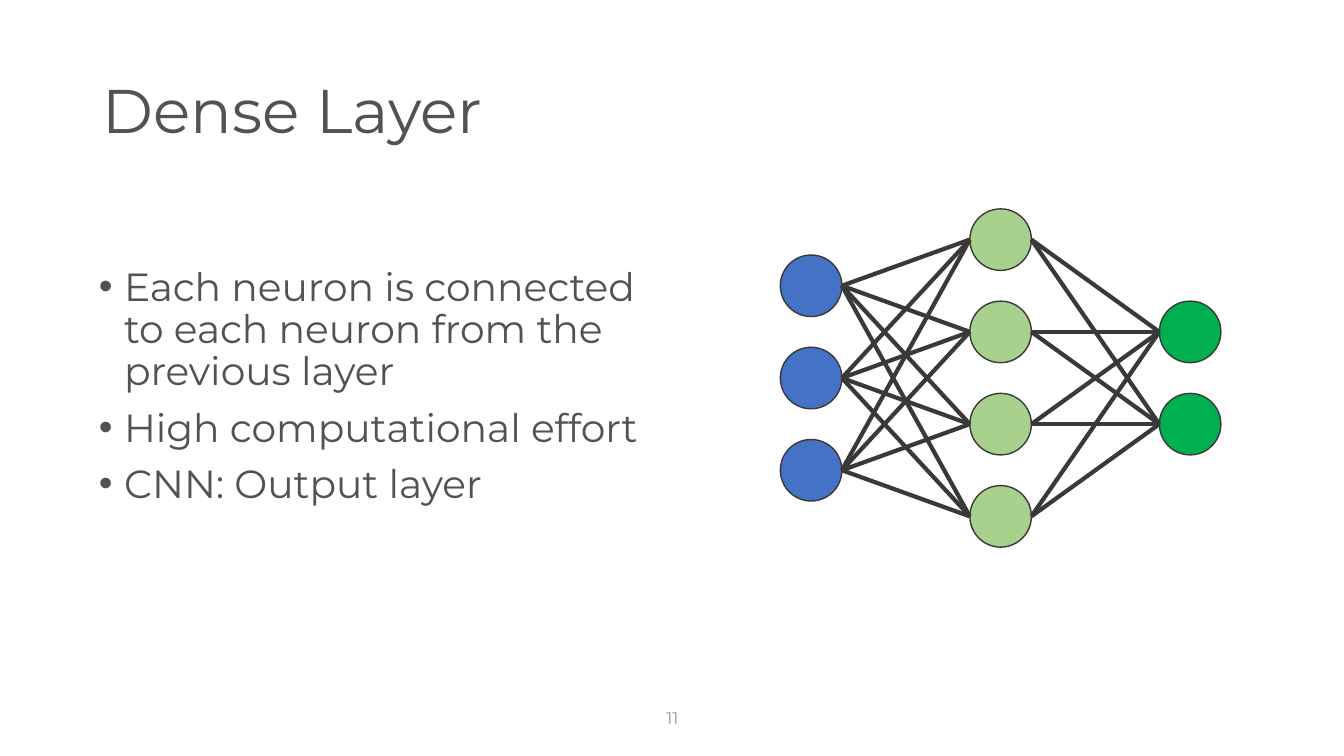
from dataclasses import dataclass
from itertools import pairwise, product

from lxml.etree import SubElement
from pptx import Presentation
from pptx.dml.color import RGBColor
from pptx.enum.shapes import MSO_CONNECTOR, MSO_SHAPE
from pptx.enum.text import MSO_ANCHOR, MSO_AUTO_SIZE, PP_ALIGN
from pptx.oxml.ns import qn
from pptx.util import Inches, Pt

WIDTH, HEIGHT = Inches(13.33), Inches(7.5)


@dataclass(frozen=True)
class Theme:
    font: str = "Montserrat"
    text: str = "525252"
    muted: str = "989898"
    outline: str = "3B3838"
    input_layer: str = "4472C4"
    hidden_layer: str = "A9D18E"
    output_layer: str = "00B050"
    title_size: int = 44
    body_size: int = 28
    number_size: int = 12
    neuron_line: int = 1
    link_line: int = 3


THEME = Theme()

# Network layout, in percent of the slide's width (x) and height (y)
FIRST_LAYER_X = 58.06
LAYER_PITCH = 14.1
NEURON_PITCH = 12.2
NETWORK_MIDDLE = 50
NEURON_DIAMETER = 4.58

LAYERS = [
    (3, THEME.input_layer),
    (4, THEME.hidden_layer),
    (2, THEME.output_layer),
]

BULLETS = [
    "Each neuron is connected to each neuron from the previous layer",
    "High computational effort",
    "CNN: Output layer",
]


def across(percent):
    return round(WIDTH * percent / 100)


def down(percent):
    return round(HEIGHT * percent / 100)


def place(shape, left, top, width, height):
    shape.left, shape.top = across(left), down(top)
    shape.width, shape.height = across(width), down(height)


def style_frame(frame, anchor):
    frame.word_wrap = True
    frame.auto_size = MSO_AUTO_SIZE.NONE
    frame.vertical_anchor = anchor


def style_paragraph(paragraph, size, color, alignment=PP_ALIGN.LEFT):
    paragraph.alignment = alignment
    paragraph.font.name = THEME.font
    paragraph.font.size = Pt(size)
    paragraph.font.color.rgb = RGBColor.from_string(color)


def add_bullet(paragraph):
    properties = paragraph._p.get_or_add_pPr()
    properties.set("marL", str(Inches(0.25)))
    properties.set("indent", str(-Inches(0.25)))
    SubElement(properties, qn("a:buFont"), typeface="Arial")
    SubElement(properties, qn("a:buChar"), char="•")


def fill_title(shape, text):
    place(shape, 6.9, 5.33, 86.27, 19.33)
    style_frame(shape.text_frame, MSO_ANCHOR.MIDDLE)
    shape.text_frame.text = text
    paragraph = shape.text_frame.paragraphs[0]
    paragraph.line_spacing = 0.9
    style_paragraph(paragraph, THEME.title_size, THEME.text)


def fill_body(shape, bullets):
    place(shape, 6.6, 34.67, 43.13, 63.47)
    style_frame(shape.text_frame, MSO_ANCHOR.TOP)
    shape.text_frame.text = "\n".join(bullets)
    for paragraph in shape.text_frame.paragraphs:
        add_bullet(paragraph)
        paragraph.line_spacing = 0.9
        paragraph.space_before = Pt(10)
        style_paragraph(paragraph, THEME.body_size, THEME.text)


def add_page_number(slide, number):
    box = slide.shapes.add_textbox(0, 0, 0, 0)
    place(box, 38.78, 92.27, 22.5, 5.33)
    style_frame(box.text_frame, MSO_ANCHOR.MIDDLE)
    box.text_frame.text = number
    paragraph = box.text_frame.paragraphs[0]
    style_paragraph(paragraph, THEME.number_size, THEME.muted, PP_ALIGN.CENTER)


def style_line(line, width):
    line.color.rgb = RGBColor.from_string(THEME.outline)
    line.width = Pt(width)


def add_neuron(group, left, middle, color):
    diameter = across(NEURON_DIAMETER)
    neuron = group.shapes.add_shape(
        MSO_SHAPE.OVAL, left, middle - diameter // 2, diameter, diameter
    )
    neuron.shadow.inherit = False
    neuron.fill.solid()
    neuron.fill.fore_color.rgb = RGBColor.from_string(color)
    style_line(neuron.line, THEME.neuron_line)
    return neuron


def add_layer(group, column, count, color):
    left = across(FIRST_LAYER_X + column * LAYER_PITCH)
    first = NETWORK_MIDDLE - (count - 1) / 2 * NEURON_PITCH
    return [
        add_neuron(group, left, down(first + row * NEURON_PITCH), color)
        for row in range(count)
    ]


def add_link(group, source, target):
    link = group.shapes.add_connector(
        MSO_CONNECTOR.STRAIGHT,
        source.left + source.width,
        source.top + source.height // 2,
        target.left,
        target.top + target.height // 2,
    )
    style_line(link.line, THEME.link_line)
    SubElement(link._element.spPr, qn("a:effectLst"))


def add_network(slide):
    group = slide.shapes.add_group_shape()
    layers = [
        add_layer(group, column, count, color)
        for column, (count, color) in enumerate(LAYERS)
    ]
    # Every neuron links to every neuron of the next layer
    for sources, targets in pairwise(layers):
        for source, target in product(sources, targets):
            add_link(group, source, target)


def main():
    presentation = Presentation()
    presentation.slide_width, presentation.slide_height = WIDTH, HEIGHT
    slide = presentation.slides.add_slide(presentation.slide_layouts[1])

    # Text
    fill_title(slide.shapes.title, "Dense Layer")
    fill_body(slide.placeholders[1], BULLETS)

    # Diagram and footer
    add_network(slide)
    add_page_number(slide, "11")

    presentation.save("out.pptx")


if __name__ == "__main__":
    main()
